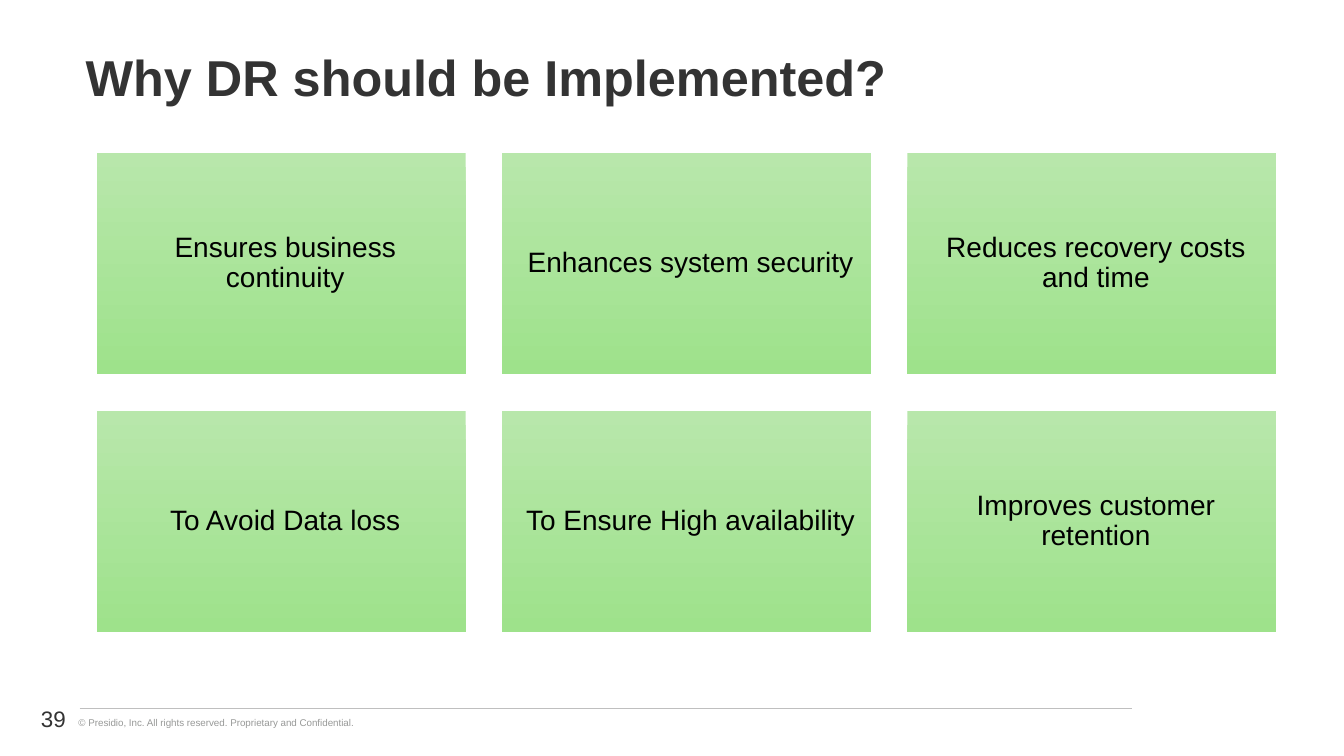
from dataclasses import dataclass

from lxml.etree import SubElement
from pptx import Presentation
from pptx.dml.color import RGBColor
from pptx.enum.shapes import MSO_CONNECTOR, MSO_SHAPE
from pptx.enum.text import MSO_ANCHOR, MSO_AUTO_SIZE, PP_ALIGN
from pptx.oxml.ns import qn
from pptx.util import Inches, Pt


@dataclass(frozen=True)
class Theme:
    font: str = "Arial"
    heading: str = "333333"
    body: str = "000000"
    muted: str = "989998"
    rule: str = "BFBFBF"
    card_top: str = "B8E7AB"
    card_bottom: str = "9EE28B"
    title_size: int = 36
    card_size: int = 20
    number_size: int = 16
    footer_size: int = 7


class SlideBuilder:
    def __init__(self, page, theme):
        self.page = page
        self.theme = theme

    def add_text(self, frame, text, size, color, align=PP_ALIGN.LEFT, bold=False, line_spacing=1.0):
        para = frame.paragraphs[0]
        para.alignment = align
        para.line_spacing = line_spacing
        span = para.add_run()
        span.text = text
        span.font.name = self.theme.font
        span.font.size = Pt(size)
        span.font.bold = bold
        span.font.color.rgb = RGBColor.from_string(color)

    def title(self, text, left, top, width, height):
        box = self.page.shapes.title
        box.left, box.top = Inches(left), Inches(top)
        box.width, box.height = Inches(width), Inches(height)
        frame = box.text_frame
        frame.auto_size = MSO_AUTO_SIZE.NONE
        frame.vertical_anchor = MSO_ANCHOR.MIDDLE
        self.add_text(frame, text, self.theme.title_size, self.theme.heading, bold=True, line_spacing=0.9)

    def label(self, text, left, top, width, height, size, color,
              align=PP_ALIGN.LEFT, anchor=MSO_ANCHOR.TOP, wrap=True):
        box = self.page.shapes.add_textbox(Inches(left), Inches(top), Inches(width), Inches(height))
        frame = box.text_frame
        frame.word_wrap = wrap
        frame.vertical_anchor = anchor
        self.add_text(frame, text, size, color, align)

    def rule(self, left, right, top):
        line = self.page.shapes.add_connector(
            MSO_CONNECTOR.STRAIGHT, Inches(left), Inches(top), Inches(right), Inches(top))
        line.line.color.rgb = RGBColor.from_string(self.theme.rule)
        line.line.width = Pt(0.75)
        SubElement(line._element.spPr, qn("a:effectLst"))

    def card(self, text, left, top, width, height):
        card = self.page.shapes.add_shape(
            MSO_SHAPE.RECTANGLE, Inches(left), Inches(top), Inches(width), Inches(height))
        card.shadow.inherit = False
        card.line.fill.background()
        card.fill.gradient()
        card.fill.gradient_angle = 270
        for stop, color in zip(card.fill.gradient_stops, (self.theme.card_top, self.theme.card_bottom)):
            stop.color.rgb = RGBColor.from_string(color)
        frame = card.text_frame
        frame.word_wrap = True
        frame.vertical_anchor = MSO_ANCHOR.MIDDLE
        frame.margin_left = Inches(0.16)
        frame.margin_right = frame.margin_top = frame.margin_bottom = Inches(0.08)
        self.add_text(frame, text, self.theme.card_size, self.theme.body, PP_ALIGN.CENTER, line_spacing=0.9)


REASONS = [
    "Ensures business continuity",
    "Enhances system security",
    "Reduces recovery costs and time",
    "To Avoid Data loss",
    "To Ensure High availability",
    "Improves customer retention",
]
COLUMNS = 3
CARD_WIDTH, CARD_HEIGHT = 3.66, 2.19
GRID_LEFT, GRID_TOP = 0.96, 1.52
COLUMN_GAP, ROW_GAP = 0.36, 0.37


def main():
    deck = Presentation()
    deck.slide_width, deck.slide_height = Inches(13.33), Inches(7.5)
    theme = Theme()
    builder = SlideBuilder(deck.slides.add_slide(deck.slide_layouts.get_by_name("Title Only")), theme)

    builder.label("© Presidio, Inc. All rights reserved. Proprietary and Confidential.",
                  0.68, 7.06, 2.98, 0.22, theme.footer_size, theme.muted, wrap=False)
    builder.rule(0.79, 11.23, 7.03)
    builder.title("Why DR should be Implemented?", 0.75, 0.26, 12.09, 1.07)
    builder.label("39", 0, 6.93, 0.75, 0.4, theme.number_size, theme.heading,
                  PP_ALIGN.RIGHT, MSO_ANCHOR.MIDDLE)
    for index, reason in enumerate(REASONS):
        row, column = divmod(index, COLUMNS)
        builder.card(reason,
                     GRID_LEFT + column * (CARD_WIDTH + COLUMN_GAP),
                     GRID_TOP + row * (CARD_HEIGHT + ROW_GAP),
                     CARD_WIDTH, CARD_HEIGHT)

    deck.save("out.pptx")


if __name__ == "__main__":
    main()
